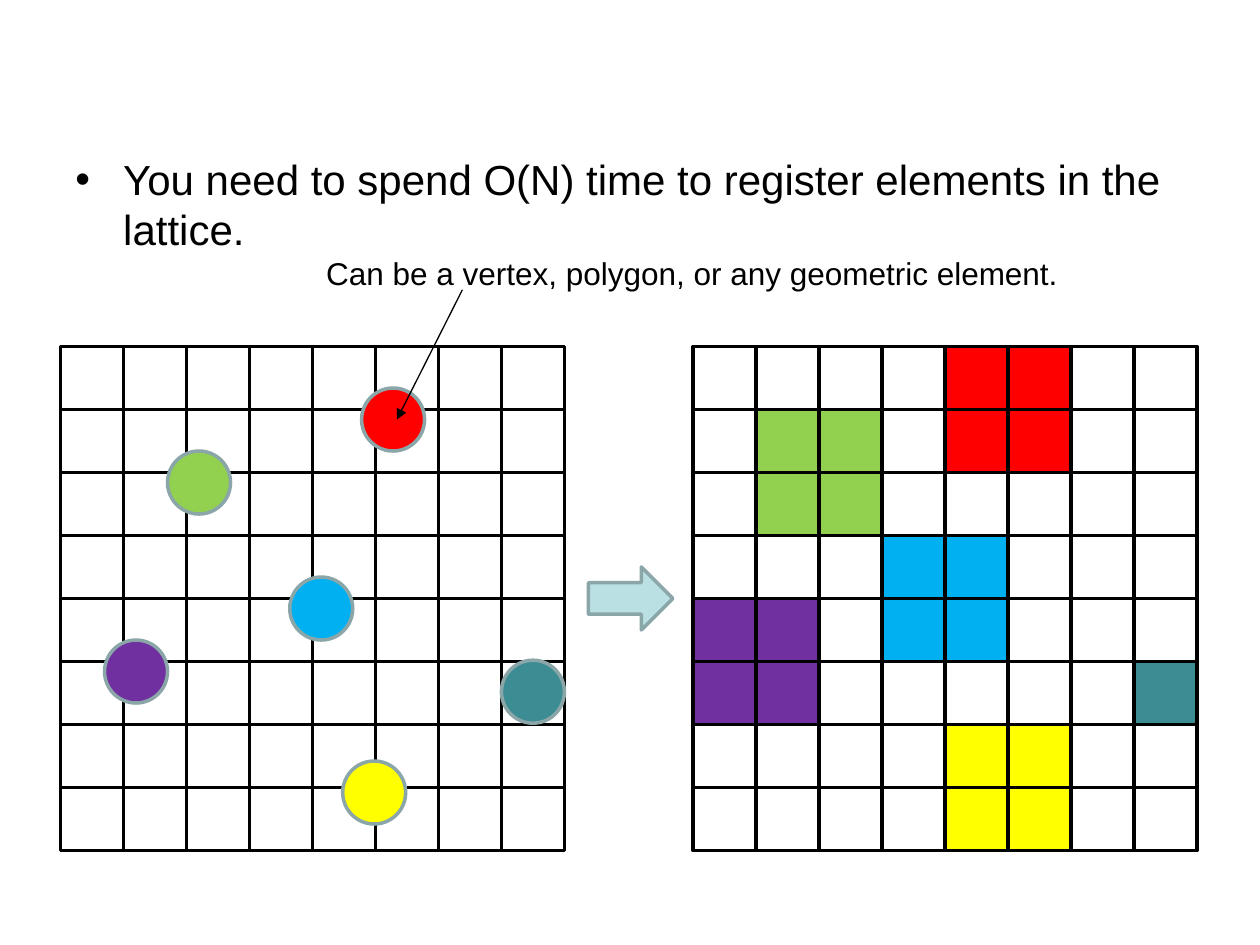
from math import ceil, floor

from lxml.etree import SubElement
from pptx import Presentation
from pptx.dml.color import RGBColor
from pptx.enum.shapes import MSO_CONNECTOR as Connector, MSO_SHAPE as Shape
from pptx.enum.text import MSO_AUTO_SIZE as AutoSize
from pptx.oxml.ns import qn
from pptx.util import Inches, Pt

BLACK = RGBColor(0x00, 0x00, 0x00)
RED = RGBColor(0xFF, 0x00, 0x00)
GREEN = RGBColor(0x92, 0xD0, 0x50)
BLUE = RGBColor(0x00, 0xB0, 0xF0)
PURPLE = RGBColor(0x70, 0x30, 0xA0)
YELLOW = RGBColor(0xFF, 0xFF, 0x00)
TEAL = RGBColor(0x3C, 0x8C, 0x93)
PALE_TEAL = RGBColor(0xBB, 0xE0, 0xE3)
GREY_TEAL = RGBColor(0x8A, 0xA6, 0xA8)

CELL = 0.5
CELLS = 8
LATTICE_TOP = 2.75
ELEMENTS_LEFT = 0.48
REGISTERED_LEFT = 5.5
TOLERANCE = 0.02

# Left, top and colour of each geometric element
ELEMENTS = [
    (1.33, 3.58, GREEN),
    (2.87, 3.08, RED),
    (2.3, 4.58, BLUE),
    (0.83, 5.08, PURPLE),
    (2.72, 6.04, YELLOW),
    (3.98, 5.24, TEAL),
]


class LatticeSlide:
    """Draws styled elements on one slide."""

    font = "Arial"
    outline = Pt(2)

    def __init__(self, slide):
        """Keep the slide to draw on."""
        self.slide = slide

    def shape(self, kind, left, top, width, height, fill, line):
        """Add an outlined preset shape; a fill of None leaves it hollow."""
        shape = self.slide.shapes.add_shape(
            kind, Inches(left), Inches(top), Inches(width), Inches(height))
        shape.shadow.inherit = False
        if fill is None:
            shape.fill.background()
        else:
            shape.fill.solid()
            shape.fill.fore_color.rgb = fill
        shape.line.color.rgb = line
        shape.line.width = self.outline

    def lattice(self, left, top, colours):
        """Add a square lattice, filling the cells listed in colours."""
        for row in range(CELLS):
            for column in range(CELLS):
                self.shape(Shape.RECTANGLE, left + column * CELL, top + row * CELL,
                           CELL, CELL, colours.get((row, column)), BLACK)

    def text(self, left, top, width, height, wording, size, wrap=True, bullet=False):
        """Add a one-paragraph text box, with a hanging bullet if asked."""
        box = self.slide.shapes.add_textbox(
            Inches(left), Inches(top), Inches(width), Inches(height))
        frame = box.text_frame
        frame.word_wrap = wrap
        frame.auto_size = AutoSize.NONE if wrap else AutoSize.SHAPE_TO_FIT_TEXT
        paragraph = frame.paragraphs[0]
        run = paragraph.add_run()
        run.text = wording
        run.font.name = self.font
        run.font.size = Pt(size)
        run.font.color.rgb = BLACK
        if bullet:
            properties = paragraph._p.get_or_add_pPr()
            properties.set("marL", str(Inches(0.38)))
            properties.set("indent", str(-Inches(0.38)))
            SubElement(properties, qn("a:buFont"), typeface=self.font)
            SubElement(properties, qn("a:buChar"), char="•")

    def pointer(self, start, end):
        """Add a thin line with an arrowhead at its end."""
        line = self.slide.shapes.add_connector(
            Connector.STRAIGHT, *(Inches(value) for value in (*start, *end)))
        line.line.color.rgb = BLACK
        line.line.width = Pt(0.75)
        SubElement(line.line._get_or_add_ln(), qn("a:tailEnd"), type="triangle")
        SubElement(line._element.spPr, qn("a:effectLst"))


def touched(offset):
    """Return the cell indexes that an element at this offset overlaps."""
    return range(floor((offset + TOLERANCE) / CELL),
                 ceil((offset + CELL - TOLERANCE) / CELL))


def register(elements):
    """Map each touched (row, column) to the colour of its element."""
    return {(row, column): colour
            for left, top, colour in elements
            for row in touched(top - LATTICE_TOP)
            for column in touched(left - ELEMENTS_LEFT)}


def main():
    """Build and save the slide."""
    deck = Presentation()
    deck.slide_width, deck.slide_height = Inches(10), Inches(7.5)
    page = LatticeSlide(deck.slides.add_slide(deck.slide_layouts[6]))

    page.text(0.5, 1.17, 9, 0.73,
              "You need to spend O(N) time to register elements in the lattice.",
              24, bullet=True)
    page.lattice(ELEMENTS_LEFT, LATTICE_TOP, {})
    page.lattice(REGISTERED_LEFT, LATTICE_TOP, register(ELEMENTS))
    page.shape(Shape.RIGHT_ARROW, 4.67, 4.5, 0.67, 0.5, PALE_TEAL, GREY_TEAL)
    for left, top, colour in ELEMENTS:
        page.shape(Shape.OVAL, left, top, CELL, CELL, colour, GREY_TEAL)
    page.pointer((3.67, 2.3), (3.15, 3.33))
    page.text(2.49, 1.97, 6.06, 0.4,
              "Can be a vertex, polygon, or any geometric element.", 18, wrap=False)
    deck.save("out.pptx")


main()
